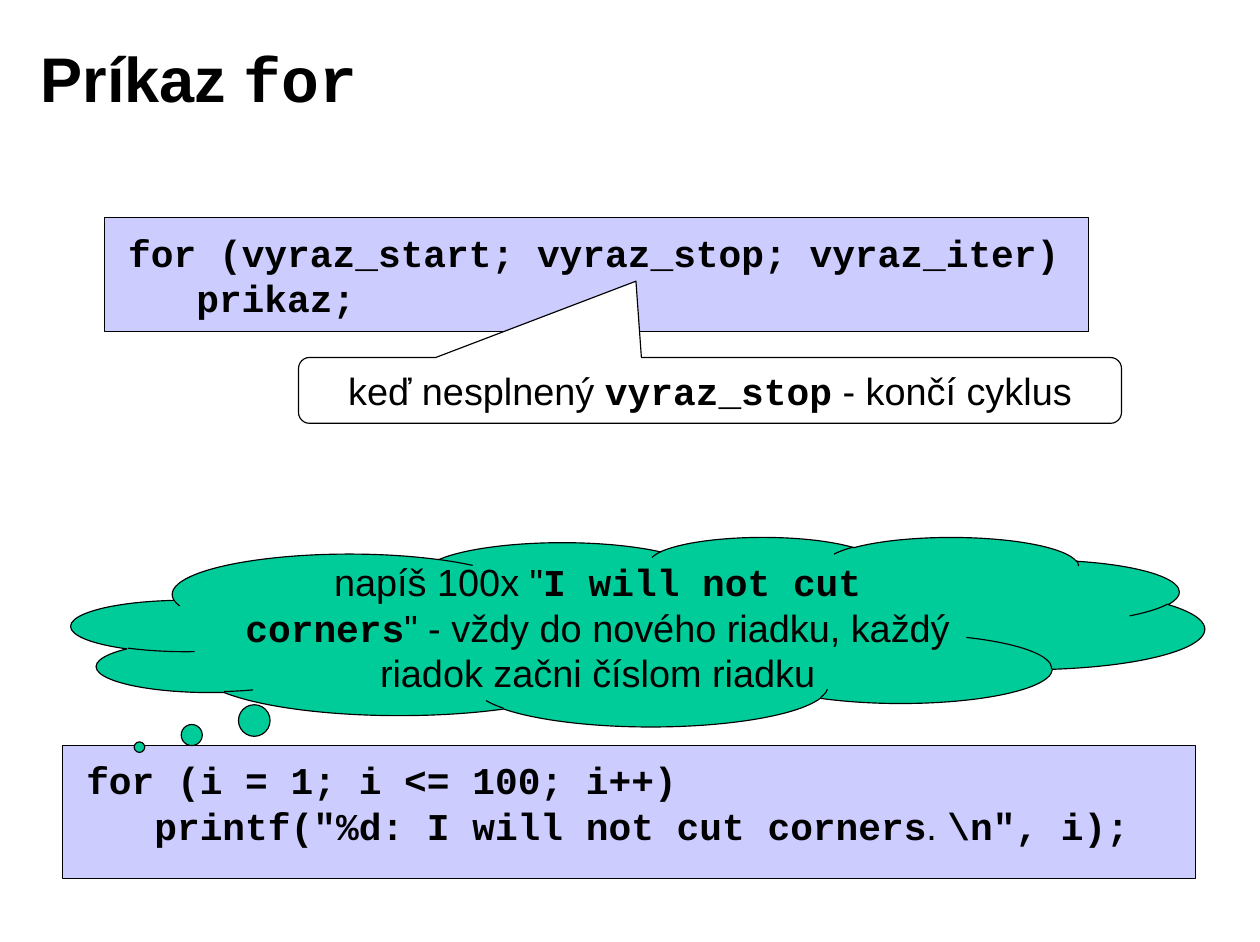
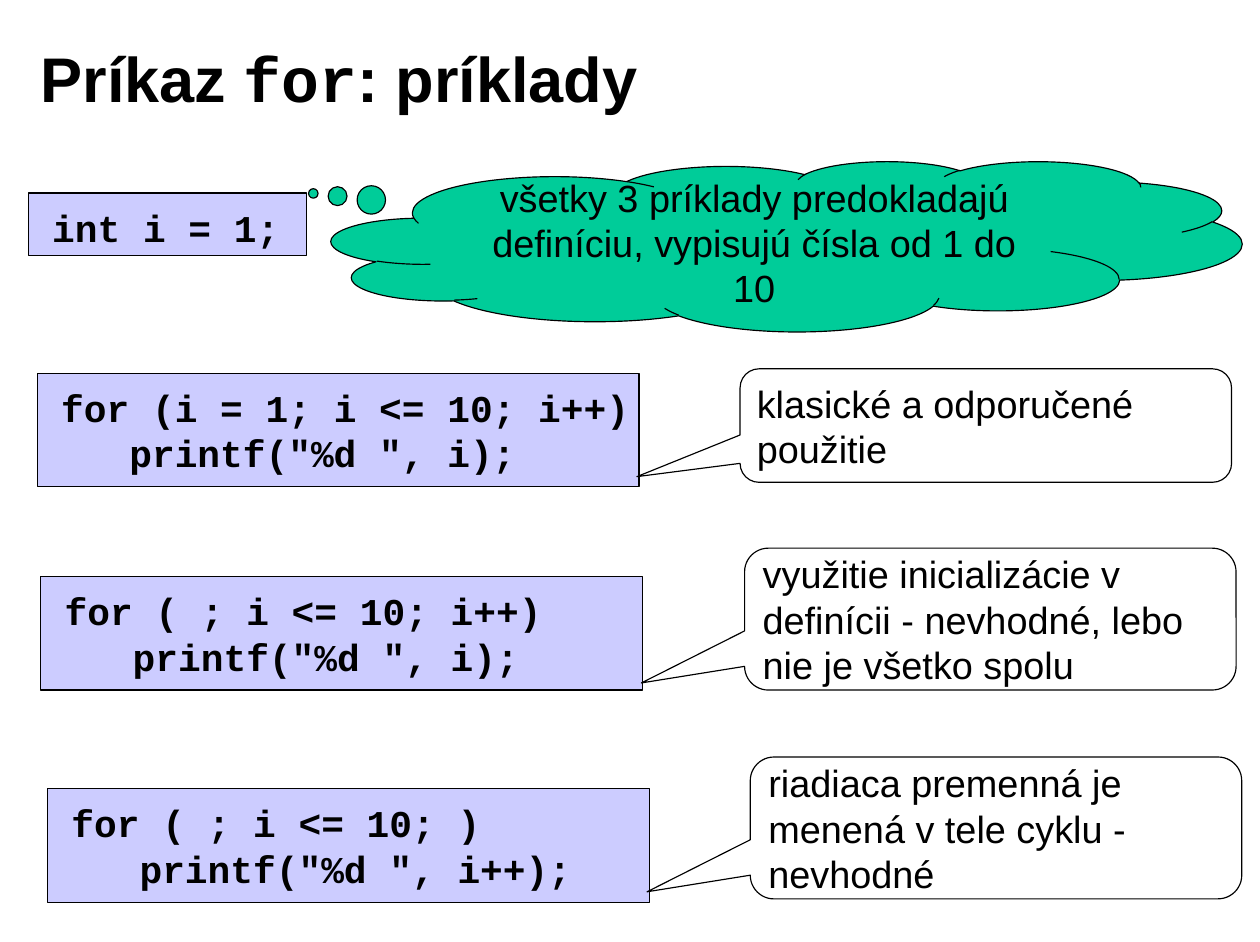
from pptx import Presentation
from pptx.dml.color import RGBColor
from pptx.enum.shapes import MSO_SHAPE
from pptx.enum.text import MSO_ANCHOR, PP_ALIGN
from pptx.util import Inches, Pt

RECTANGLE = MSO_SHAPE.RECTANGLE
CLOUD = MSO_SHAPE.CLOUD_CALLOUT
BUBBLE = MSO_SHAPE.ROUNDED_RECTANGULAR_CALLOUT
LEFT, CENTER = PP_ALIGN.LEFT, PP_ALIGN.CENTER
TOP, MIDDLE = MSO_ANCHOR.TOP, MSO_ANCHOR.MIDDLE

WIDTH, HEIGHT = Inches(11.1), Inches(8.3)
COLUMNS, ROWS = 111, 83
BLACK, WHITE, LAVENDER, GREEN = "000000", "FFFFFF", "CCCCFF", "00CC99"
TEXT_FONT, CODE_FONT = "Arial", "Courier New"
TITLE_SIZE, BODY_SIZE = 40, 24
CODE_INDENT = Pt(3 * 0.6 * BODY_SIZE)
ROUNDING = 0.167


def color(value):
    return RGBColor.from_string(value)


def place(left, top, width, height):
    return (round(left * WIDTH / COLUMNS), round(top * HEIGHT / ROWS),
            round(width * WIDTH / COLUMNS), round(height * HEIGHT / ROWS))


def set_frame(box, anchor, insets):
    frame = box.text_frame
    frame.word_wrap = True
    frame.vertical_anchor = anchor
    (frame.margin_left, frame.margin_top,
     frame.margin_right, frame.margin_bottom) = map(Inches, insets)
    return frame


def write(para, text, size=BODY_SIZE, bold=False, align=LEFT):
    """Set text in para; parts between backticks are code."""
    para.alignment = align
    for index, part in enumerate(text.split("`")):
        if part:
            is_code = index % 2 == 1
            span = para.add_run()
            span.text = part
            span.font.name = CODE_FONT if is_code else TEXT_FONT
            span.font.size = Pt(size)
            span.font.bold = bold or is_code
            span.font.color.rgb = color(BLACK)


def add_title(page, text):
    box = page.shapes.add_textbox(*place(2.5, 1.7, 89.2, 10.2))
    frame = set_frame(box, MIDDLE, (0.11, 0.06, 0.11, 0.06))
    write(frame.paragraphs[0], text, TITLE_SIZE, bold=True)


def add_outlined(page, preset, area, fill):
    shape = page.shapes.add_shape(preset, *place(*area))
    shape.shadow.inherit = False
    shape.fill.solid()
    shape.fill.fore_color.rgb = color(fill)
    shape.line.color.rgb = color(BLACK)
    shape.line.width = Pt(0.75)
    return shape


def add_code(page, area, header, body=None):
    box = add_outlined(page, RECTANGLE, area, LAVENDER)
    frame = set_frame(box, TOP, (0.21, 0.1, 0, 0))
    write(frame.paragraphs[0], header)
    if body:
        para = frame.add_paragraph()
        write(para, body)
        para._p.get_or_add_pPr().set("marL", str(CODE_INDENT))


def add_callout(page, preset, area, fill, adjustments, text, align):
    callout = add_outlined(page, preset, area, fill)
    for index, value in enumerate(adjustments):
        callout.adjustments[index] = value
    frame = set_frame(callout, MIDDLE, (0.1, 0.05, 0.1, 0.05))
    write(frame.paragraphs[0], text, align=align)


def add_cloud(page, area, tail, text):
    add_callout(page, CLOUD, area, GREEN, tail, text, CENTER)


def add_bubble(page, area, tail, text, align=LEFT):
    add_callout(page, BUBBLE, area, WHITE, (*tail, ROUNDING), text, align)


def build_syntax(page):
    add_title(page, "Príkaz `for`")
    add_code(page, (5.5, 65.7, 99.8, 11.7), "`for (i = 1; i <= 100; i++)`",
             "`printf(\"%d: I will not cut corners`. `\\n\", i);`")
    add_cloud(page, (6.3, 47.3, 99.8, 16.7), (-0.44, 0.61),
              "napíš 100x \"`I will not cut corners`\" - vždy do nového "
              "riadku, každý riadok začni číslom riadku")
    add_code(page, (9.2, 19.2, 86.7, 10),
             "`for (vyraz_start; vyraz_stop; vyraz_iter)`", "`prikaz;`")
    add_bubble(page, (26.3, 31.5, 72.5, 5.8), (-0.09, -1.66),
               "keď nesplnený `vyraz_stop` - končí cyklus", CENTER)


def build_examples(page):
    add_title(page, "Príkaz `for`: príklady")
    add_code(page, (2.5, 17, 24.5, 5.5), "`int i = 1;`")
    add_cloud(page, (29.2, 14.2, 80.2, 15), (-0.52, -0.31),
              "všetky 3 príklady predokladajú definíciu, vypisujú čísla "
              "od 1 do 10")
    examples = [
        ((3.3, 32.9), "`for (i = 1; i <= 10; i++)`", "`printf(\"%d \", i);`",
         (65.2, 32.5), 10, "klasické a odporučené použitie"),
        ((3.6, 50.8), "`for ( ; i <= 10; i++)`", "`printf(\"%d \", i);`",
         (65.6, 48.3), 12.5, "využitie inicializácie v definícii - nevhodné, "
         "lebo nie je všetko spolu"),
        ((4.2, 69.5), "`for ( ; i <= 10; )`", "`printf(\"%d \", i++);`",
         (66.1, 66.7), 12.5, "riadiaca premenná je menená v tele cyklu - "
         "nevhodné"),
    ]
    for code_corner, header, body, note_corner, note_height, note in examples:
        add_code(page, (*code_corner, 53, 10), header, body)
        add_bubble(page, (*note_corner, 43.3, note_height), (-0.71, 0.45), note)


def main():
    deck = Presentation()
    deck.slide_width, deck.slide_height = WIDTH, HEIGHT
    blank = deck.slide_layouts[6]
    for build in (build_syntax, build_examples):
        build(deck.slides.add_slide(blank))
    deck.save("out.pptx")


main()
